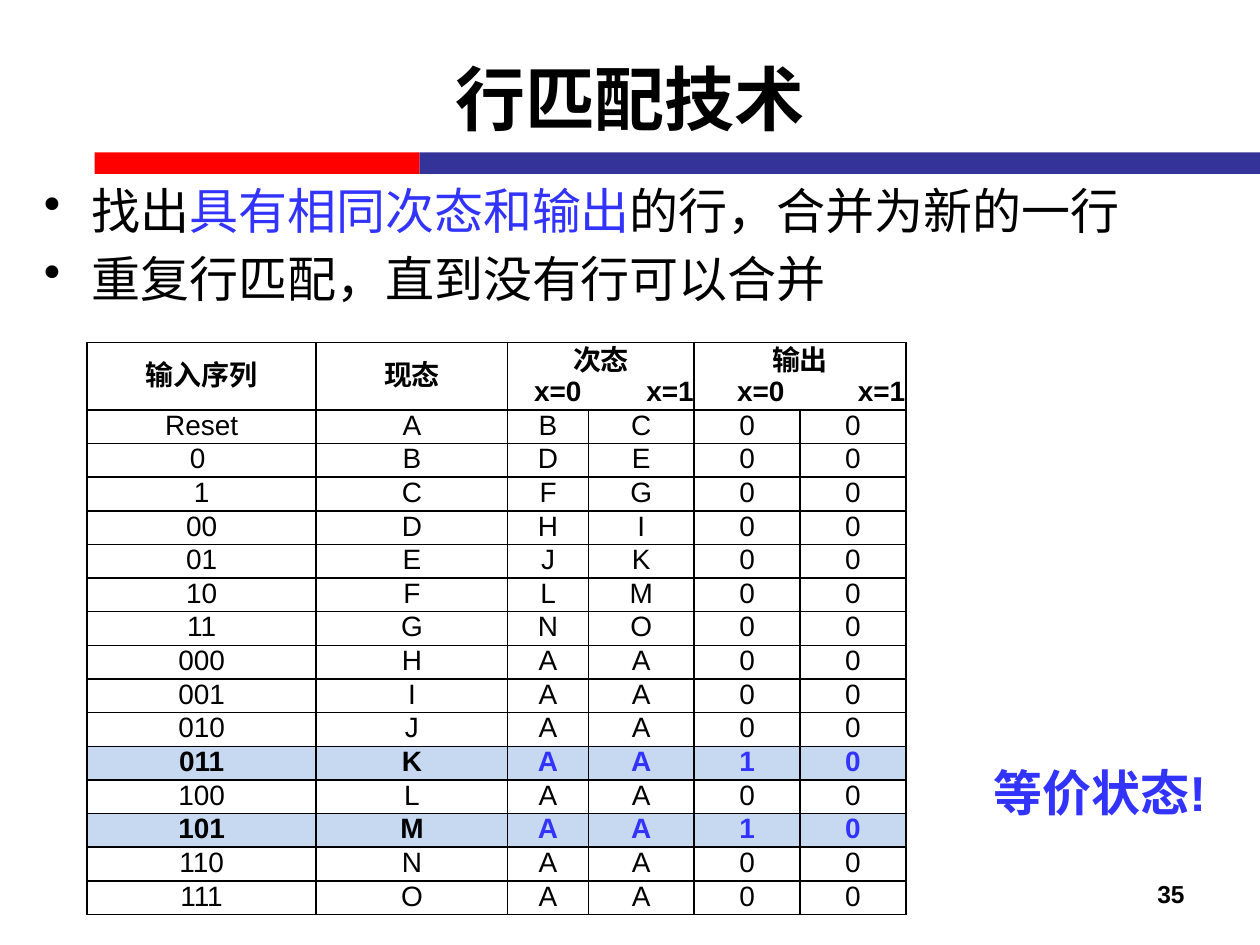
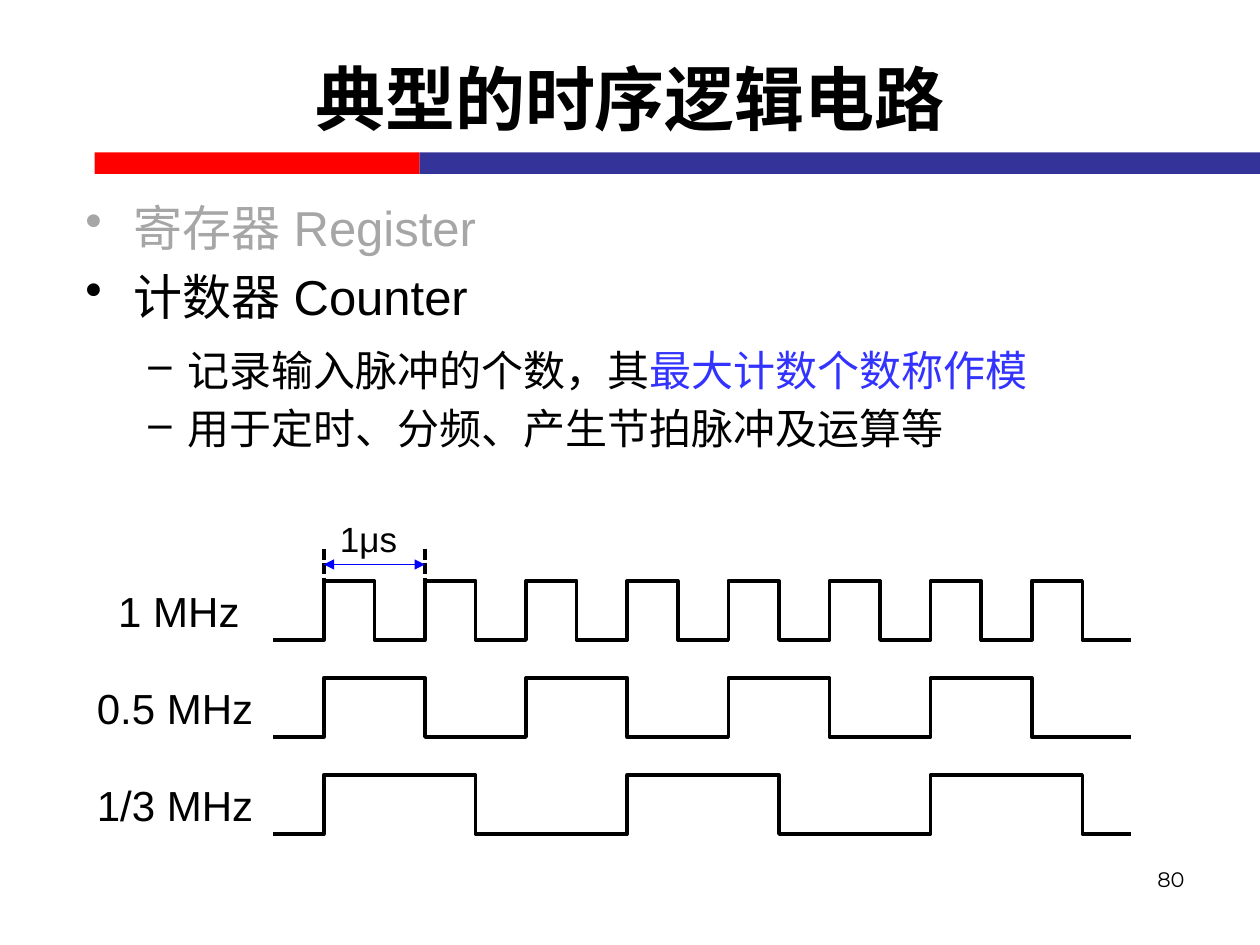
from lxml.etree import SubElement
from pptx import Presentation
from pptx.dml.color import RGBColor
from pptx.enum.dml import MSO_LINE
from pptx.enum.shapes import MSO_CONNECTOR, MSO_SHAPE
from pptx.enum.text import MSO_ANCHOR, PP_ALIGN
from pptx.oxml.ns import qn
from pptx.util import Inches, Pt

BLACK = RGBColor(0, 0, 0)
WHITE = RGBColor(255, 255, 255)
RED = RGBColor(255, 0, 0)
NAVY = RGBColor(0x33, 0x33, 0x99)
BLUE = RGBColor(0x33, 0x33, 0xFF)
ARROW = RGBColor(0, 0, 255)
GREY = RGBColor(0xA6, 0xA6, 0xA6)
PALE = RGBColor(0xC6, 0xD9, 0xF1)

LEVELS = [(28, 0.38, -0.38, "•"), (24, 0.81, -0.31, "–")]
COLS = [1.82, 1.52, 0.64, 0.84, 0.84, 0.84]
HEAD = 0.53
ROW = 4 / 15
INPUTS = ["Reset", "0 ", "1", "00", "01", "10", "11", "000", "001", "010",
          "011", "100", "101", "110", "111"]
STATES = "ABCDEFGHIJKLMNO"
EQUAL = "KM"
RISE = 2.57
HALF = 6.02 / 15


def put(item, vals):
    for name, val in vals.items():
        setattr(item, name, val)


def write(para, text, size, color=BLACK, bold=False, face="Arial"):
    run = para.add_run()
    run.text = text
    put(run.font, {"size": Pt(size), "bold": bold, "name": face})
    run.font.color.rgb = color
    SubElement(run.font._element, qn("a:ea"), typeface=face)


def box(slide, area, wrap=True, anchor=MSO_ANCHOR.TOP):
    frame = slide.shapes.add_textbox(*map(Inches, area)).text_frame
    put(frame, {"word_wrap": wrap, "vertical_anchor": anchor})
    return frame


def label(slide, area, text, size, align=PP_ALIGN.LEFT, wrap=False,
          anchor=MSO_ANCHOR.TOP, **style):
    para = box(slide, area, wrap, anchor).paragraphs[0]
    para.alignment = align
    write(para, text, size, **style)


def band(slide, left, width, color):
    shape = slide.shapes.add_shape(
        MSO_SHAPE.RECTANGLE, *map(Inches, (left, 1.21, width, 0.17)))
    shape.shadow.inherit = False
    shape.fill.solid()
    shape.fill.fore_color.rgb = color
    shape.line.fill.background()


def start(deck, title, face="Arial"):
    slide = deck.slides.add_slide(deck.slide_layouts[6])
    band(slide, 0.75, 2.58, RED)
    band(slide, 3.33, 6.67, NAVY)
    label(slide, (0.5, 0.15, 9, 1.25), title, 40, PP_ALIGN.CENTER, True,
          MSO_ANCHOR.MIDDLE, bold=True, face=face)
    return slide


def number(slide, text, size, **style):
    label(slide, (7.17, 6.83, 2.33, 0.52), text, size, PP_ALIGN.RIGHT, True, **style)


def points(slide, area, items):
    frame = box(slide, area)
    for row, (level, after, runs) in enumerate(items):
        para = frame.add_paragraph() if row else frame.paragraphs[0]
        size, left, hang, mark = LEVELS[level]
        props = para._p.get_or_add_pPr()
        props.set("marL", str(Inches(left)))
        props.set("indent", str(Inches(hang)))
        SubElement(props, qn("a:buChar"), char=mark)
        put(para, {"level": level, "space_before": Pt(size * 0.2 if row else 0),
                   "space_after": Pt(after)})
        for text, color in runs:
            write(para, text, size, color)


def edge(cell):
    props = cell._tc.get_or_add_tcPr()
    for side in ("lnL", "lnR", "lnT", "lnB"):
        line = SubElement(props, qn(f"a:{side}"), w=str(Pt(1)))
        fill = SubElement(line, qn("a:solidFill"))
        SubElement(fill, qn("a:srgbClr"), val=str(BLACK))


def style(cell, color, anchor=MSO_ANCHOR.TOP):
    edge(cell)
    put(cell, {"margin_left": 0, "margin_right": 0, "margin_top": 0,
               "margin_bottom": 0, "vertical_anchor": anchor})
    cell.fill.solid()
    cell.fill.fore_color.rgb = color


def center(cell, text, color=BLACK, bold=False):
    para = cell.text_frame.paragraphs[0]
    para.alignment = PP_ALIGN.CENTER
    write(para, text, 16, color, bold)


def split(cell, left, stop):
    para = cell.text_frame.add_paragraph()
    props = para._p.get_or_add_pPr()
    props.set("marL", str(Inches(left)))
    tabs = SubElement(props, qn("a:tabLst"))
    SubElement(tabs, qn("a:tab"), pos=str(Inches(stop)), algn="l")
    write(para, "x=0\tx=1", 16, bold=True)


def grid(slide):
    table = slide.shapes.add_table(
        len(STATES) + 1, len(COLS),
        *map(Inches, (0.69, 2.72, sum(COLS), HEAD + ROW * len(STATES)))).table
    put(table, {"first_row": False, "horz_banding": False})
    for col, width in zip(table.columns, COLS):
        col.width = Inches(width)
    for row in table.rows:
        row.height = Inches(ROW)
    table.rows[0].height = Inches(HEAD)

    for col in range(len(COLS)):
        style(table.cell(0, col), WHITE, MSO_ANCHOR.MIDDLE)
    for col, text in {0: "输入序列", 1: "现态", 2: "次态", 4: "输出"}.items():
        center(table.cell(0, col), text, bold=True)
    for col, left, stop in ((2, 0.21, 0.89), (4, 0.34, 0.96)):
        table.cell(0, col).merge(table.cell(0, col + 1))
        split(table.cell(0, col), left, stop)

    for row, (entry, state) in enumerate(zip(INPUTS, STATES)):
        same = state in EQUAL
        after = STATES[2 * row + 1:2 * row + 3] or "AA"
        for col, text in enumerate([entry, state, *after, "1" if same else "0", "0"]):
            cell = table.cell(row + 1, col)
            style(cell, PALE if same else WHITE)
            center(cell, text, BLUE if same and col > 1 else BLACK, same)


def wave(slide, top, ratio):
    low, high = top + 0.47, top
    dots, x, level = [], RISE, low
    while x < 8.9:
        dots.append((x, level))
        level = high if level == low else low
        dots.append((x, level))
        x += HALF * ratio
    dots.append((8.98, level))
    path = slide.shapes.build_freeform(Inches(2.17), Inches(low))
    path.add_line_segments([tuple(map(Inches, dot)) for dot in dots], close=False)
    shape = path.convert_to_shape()
    shape.shadow.inherit = False
    shape.fill.background()
    shape.line.color.rgb = BLACK
    shape.line.width = Pt(2)


def rule(slide, ends, color, width):
    line = slide.shapes.add_connector(MSO_CONNECTOR.STRAIGHT, *map(Inches, ends))
    SubElement(line._element.spPr, qn("a:effectLst"))
    line.line.color.rgb = color
    line.line.width = Pt(width)
    return line


def period(slide):
    end = RISE + 2 * HALF
    for x in (RISE, end):
        rule(slide, (x, 4.36, x, 4.77), BLACK, 2).line.dash_style = MSO_LINE.SQUARE_DOT
    arrow = rule(slide, (RISE, 4.48, end, 4.48), ARROW, 1)
    for tip in ("headEnd", "tailEnd"):
        SubElement(arrow.line._get_or_add_ln(), qn(f"a:{tip}"), type="triangle")
    label(slide, (2.6, 4.06, 0.66, 0.44), "1μs", 20)


def match(deck):
    slide = start(deck, "行匹配技术", "Noto Sans CJK SC")
    points(slide, (0.25, 1.38, 9.5, 2.18), [
        (0, 0, [("找出", BLACK), ("具有相同次态和输出", BLUE),
                ("的行，合并为新的一行", BLACK)]),
        (0, 0, [("重复行匹配，直到没有行可以合并", BLACK)])])
    grid(slide)
    label(slide, (7.79, 6, 2.21, 0.57), "等价状态!", 28, color=BLUE, bold=True)
    number(slide, "35", 14, bold=True, anchor=MSO_ANCHOR.MIDDLE)


def count(deck):
    slide = start(deck, "典型的时序逻辑电路")
    points(slide, (0.58, 1.52, 9, 4.76), [
        (0, 0, [("寄存器 Register", GREY)]),
        (0, 6, [("计数器 Counter", BLACK)]),
        (1, 0, [("记录输入脉冲的个数，其", BLACK), ("最大计数个数称作模", BLUE)]),
        (1, 0, [("用于定时、分频、产生节拍脉冲及运算等", BLACK)])])
    signals = [("1 MHz", 0.84, 1.17), ("0.5 MHz", 0.67, 1.46), ("1/3 MHz", 0.67, 1.46)]
    for row, (text, left, width) in enumerate(signals):
        top = 4.61 + 0.77 * row
        wave(slide, top, row + 1)
        label(slide, (left, top - 0.01, width, 0.5), text, 24)
    period(slide)
    number(slide, "80", 12, face="Montserrat")


def main():
    deck = Presentation()
    put(deck, {"slide_width": Inches(10), "slide_height": Inches(7.5)})
    match(deck)
    count(deck)
    deck.save("out.pptx")


if __name__ == "__main__":
    main()
